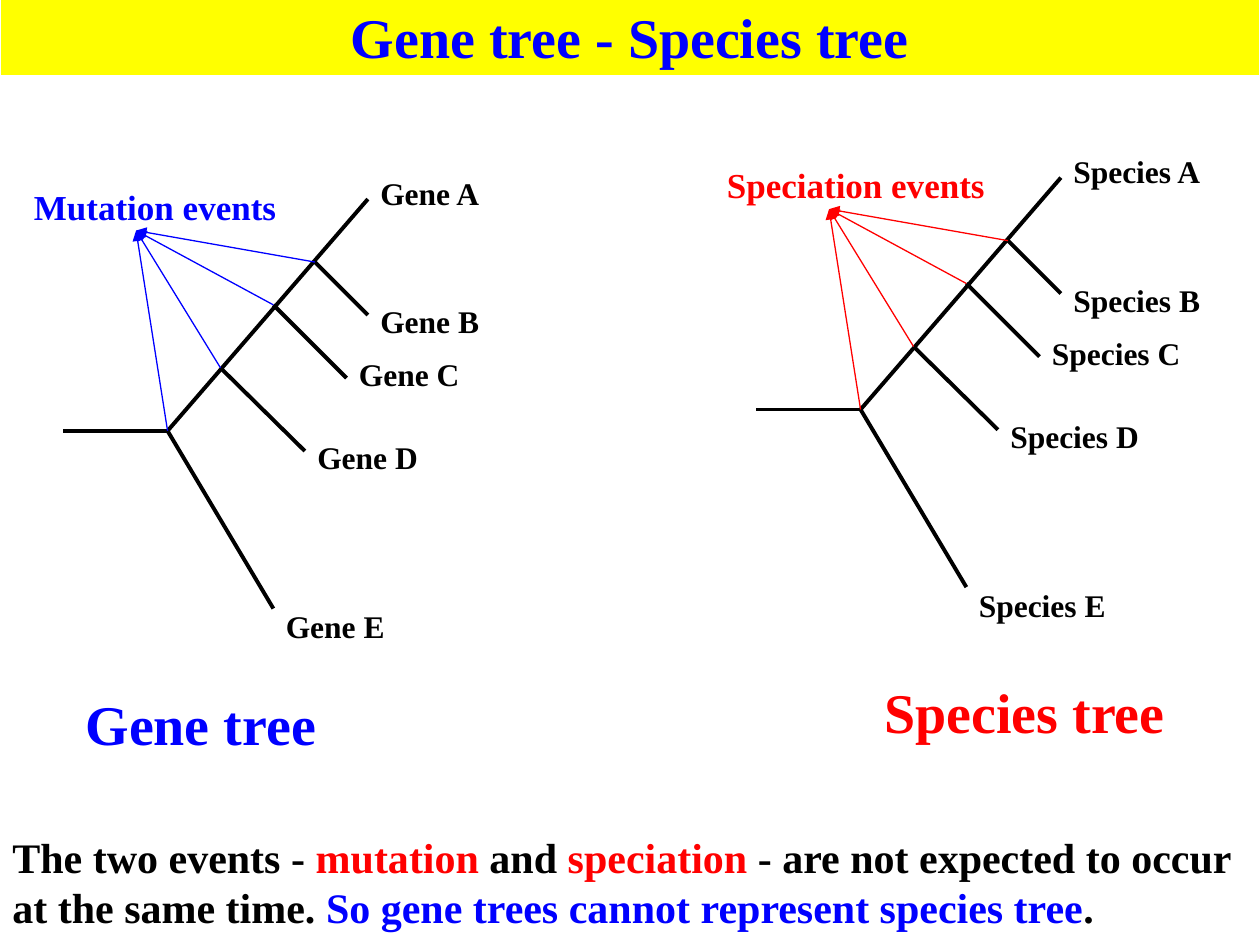
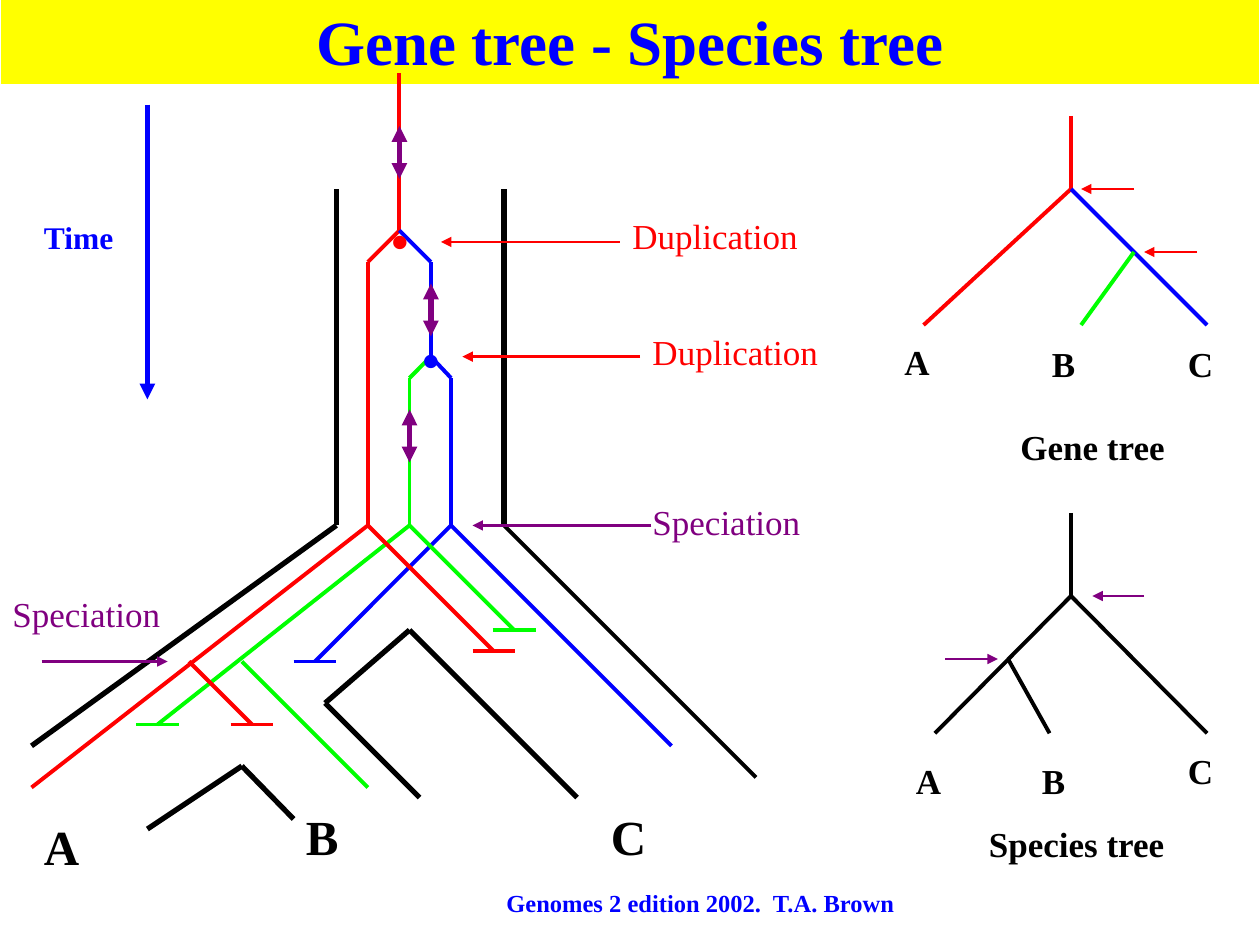
from itertools import pairwise

from lxml.etree import SubElement
from pptx import Presentation
from pptx.dml.color import RGBColor
from pptx.enum.shapes import MSO_CONNECTOR
from pptx.enum.text import MSO_ANCHOR, MSO_AUTO_SIZE, PP_ALIGN
from pptx.oxml.ns import qn
from pptx.util import Inches, Pt

FONT = "Times New Roman"
BLACK, WHITE, YELLOW = "000000", "FFFFFF", "FFFF00"
RED, GREEN, BLUE, PURPLE = "FF0000", "00FF00", "0000FF", "800080"
FRAME_FORMAT = {
    "word_wrap": True,
    "auto_size": MSO_AUTO_SIZE.NONE,
    "vertical_anchor": MSO_ANCHOR.TOP,
    "margin_left": Inches(0.1),
    "margin_right": Inches(0.1),
    "margin_top": Inches(0.05),
    "margin_bottom": Inches(0.05),
}


def write_text(box, place, spans, size, bold=True, align=PP_ALIGN.LEFT, lines=1):
    """Put box at place (left, top, width), tall enough for its lines, and fill in (text, colour) spans."""
    box.left, box.top, box.width = map(Inches, place)
    box.height = Inches(round(lines * size * 1.2 / 72 + 0.1, 2))
    for name, value in FRAME_FORMAT.items():
        setattr(box.text_frame, name, value)
    para = box.text_frame.paragraphs[0]
    para.alignment = align
    para.space_before = Pt(0)
    for text, colour in spans:
        span = para.add_run()
        span.text = text
        for name, value in {"name": FONT, "size": Pt(size), "bold": bold}.items():
            setattr(span.font, name, value)
        span.font.color.rgb = RGBColor.from_string(colour)


def draw_path(page, points, colour, width=2.25, arrows=()):
    """Join the points with straight lines; arrows names the ends that carry a triangle."""
    for start, end in pairwise(points):
        line = page.shapes.add_connector(MSO_CONNECTOR.STRAIGHT, *map(Inches, start + end))
        line.line.color.rgb = RGBColor.from_string(colour)
        line.line.width = Pt(width)
        properties = line.element.spPr
        for arrow in arrows:
            SubElement(properties.find(qn("a:ln")), qn(f"a:{arrow}"), type="triangle")
        SubElement(properties, qn("a:effectLst"))


deck = Presentation()
deck.slide_width, deck.slide_height = Inches(10), Inches(7.5)

# Both slides carry the same yellow title band
pages = []
for title_size in (32, 36):
    page = deck.slides.add_slide(deck.slide_layouts[5])
    title = page.shapes.title
    title.fill.solid()
    title.fill.fore_color.rgb = RGBColor.from_string(YELLOW)
    title.line.color.rgb = RGBColor.from_string(WHITE)
    title.line.width = Pt(0.75)
    write_text(title, (0, -0.03, 10), [("Gene tree - Species tree", BLUE)], title_size, align=PP_ALIGN.CENTER)
    pages.append(page)
comparison, history = pages

# Slide 1: the same tree twice, for genes and for species
root = (1.33, 3.42)
forks = [root, (2.17, 2.42), (2.5, 2.08), (1.75, 2.92)]
branches = [
    [(0.5, 3.42), root],
    [root, (2.92, 1.58)],
    [(2.5, 2.08), (2.92, 2.5)],
    [(2.17, 2.42), (2.75, 3)],
    [(1.75, 2.92), (2.42, 3.58)],
    [root, (2.17, 4.83)],
]
leaves = [("A", 2.92, 1.33), ("B", 2.92, 2.35), ("C", 2.75, 2.77), ("D", 2.42, 3.43), ("E", 2.17, 4.77)]
trees = [
    ("Gene", "Mutation events", BLUE, 0, 0, (0.58, 5.42, 2.08)),
    ("Species", "Speciation events", RED, 5.5, -0.17, (6.92, 5.33, 2.5)),
]
for kind, event, colour, right, down, caption_place in trees:
    for branch in branches:
        draw_path(comparison, [(x + right, y + down) for x, y in branch], BLACK)
    for x, y in forks:
        draw_path(comparison, [(x + right, y + down), (1.08 + right, 1.83 + down)], colour, 0.75, ["tailEnd"])
    labels = [((x + right, y + down, 1.33), f"{kind} {leaf}", BLACK, 18) for leaf, x, y in leaves]
    labels += [
        ((0.17 + right, 1.42 + down, 2.42), event, colour, 20),
        (caption_place, f"{kind} tree", colour, 32),
    ]
    for place, text, text_colour, size in labels:
        write_text(comparison.shapes.add_textbox(0, 0, 0, 0), place, [(text, text_colour)], size)

conclusion = [
    ("The two events - ", BLACK),
    ("mutation", RED),
    (" and ", BLACK),
    ("speciation ", RED),
    ("- are not expected to occur at the same time. ", BLACK),
    ("So gene trees cannot represent species tree", BLUE),
    (".", BLACK),
]
write_text(comparison.shapes.add_textbox(0, 0, 0, 0), (0, 6.55, 10), conclusion, 24, lines=2)

# Slide 2: gene lineages
lineages = [
    (RED, [(3.17, 0.58), (3.17, 1.83), (2.92, 2.08), (2.92, 4.17), (0.25, 6.25)]),
    (BLUE, [(3.17, 1.83), (3.42, 2.08), (3.42, 2.83), (3.58, 3), (3.58, 4.17), (5.33, 5.92)]),
    (GREEN, [(3.42, 2.83), (3.25, 3), (3.25, 4.17)]),
    (GREEN, [(1.92, 5.25), (2.92, 6.25)]),
]
for colour, points in lineages:
    draw_path(history, points, colour)

# Lineages that die out end in a short bar
lost_lineages = [
    (GREEN, (3.25, 4.17), (1.25, 5.75)),
    (RED, (1.5, 5.25), (2, 5.75)),
    (BLUE, (3.58, 4.17), (2.5, 5.25)),
    (RED, (2.92, 4.17), (3.92, 5.17)),
    (GREEN, (3.25, 4.17), (4.08, 5)),
]
for colour, start, (x, y) in lost_lineages:
    draw_path(history, [start, (x, y)], colour)
    draw_path(history, [(x - 0.17, y), (x + 0.17, y)], colour)

# Outline of the species around the lineages
species_outlines = [
    (3, [(4, 1.5), (4, 4.17)]),
    (2.25, [(4, 4.17), (6, 6.17)]),
    (3, [(2.67, 1.5), (2.67, 4.17), (0.25, 5.92)]),
    (3, [(4.58, 6.33), (3.25, 5), (2.58, 5.58), (3.33, 6.33)]),
    (3, [(1.17, 6.58), (1.92, 6.08), (2.33, 6.5)]),
]
for width, points in species_outlines:
    draw_path(history, points, BLACK, width)

# Small trees on the right
small_trees = [
    (RED, [(8.5, 0.92), (8.5, 1.5), (7.33, 2.58)]),
    (BLUE, [(8.5, 1.5), (9.58, 2.58)]),
    (GREEN, [(9, 2), (8.58, 2.58)]),
    (BLACK, [(8.5, 4.07), (8.5, 4.73), (7.42, 5.82)]),
    (BLACK, [(8.5, 4.73), (9.58, 5.82)]),
    (BLACK, [(8, 5.23), (8.33, 5.82)]),
]
for colour, points in small_trees:
    draw_path(history, points, colour)

event_arrows = [
    (RED, 0.75, 9, 8.58, 1.5),
    (RED, 0.75, 9.5, 9.08, 2),
    (PURPLE, 0.75, 9.08, 8.67, 4.73),
    (PURPLE, 0.75, 7.5, 7.92, 5.23),
    (RED, 1.5, 4.92, 3.5, 1.92),
    (RED, 1.5, 5.08, 3.67, 2.83),
    (PURPLE, 1.5, 5.17, 3.75, 4.17),
    (PURPLE, 1.5, 0.33, 1.33, 5.25),
]
for colour, width, start, end, y in event_arrows:
    draw_path(history, [(start, y), (end, y)], colour, width, ["tailEnd"])

draw_path(history, [(1.17, 0.83), (1.17, 3.17)], BLUE, 3, ["tailEnd"])
for x, y in [(3.17, 1), (3.42, 2.25), (3.25, 3.25)]:
    draw_path(history, [(x, y), (x, y + 0.42)], PURPLE, 3, ["headEnd", "tailEnd"])

history_labels = [
    ("Genomes 2 edition 2002.  T.A. Brown", (3.92, 7, 3.75), 14, BLUE, True),
    ("Time", (0.25, 1.68, 0.83), 18, BLUE, True),
    ("•", (3, 1.58, 0.42), 32, RED, False),
    ("•", (3.25, 2.53, 0.42), 32, BLUE, False),
    ("Duplication", (4.92, 1.65, 1.58), 20, RED, False),
    ("Duplication", (5.08, 2.57, 1.58), 20, RED, False),
    ("Speciation", (5.08, 3.92, 1.5), 20, PURPLE, False),
    ("Speciation", (0, 4.65, 1.5), 20, PURPLE, False),
    ("A", (0.25, 6.43, 0.5), 28, BLACK, True),
    ("B", (2.33, 6.35, 0.58), 28, BLACK, True),
    ("C", (4.75, 6.35, 0.67), 28, BLACK, True),
    ("A", (7.08, 2.65, 0.5), 20, BLACK, True),
    ("B", (8.25, 2.67, 0.5), 20, BLACK, True),
    ("C", (9.33, 2.67, 0.5), 20, BLACK, True),
    ("Gene tree", (8, 3.33, 1.42), 20, BLACK, True),
    ("A", (7.17, 5.98, 0.5), 20, BLACK, True),
    ("B", (8.17, 5.98, 0.5), 20, BLACK, True),
    ("C", (9.33, 5.9, 0.5), 20, BLACK, True),
    ("Species tree", (7.75, 6.48, 1.83), 20, BLACK, True),
]
for text, place, size, colour, bold in history_labels:
    write_text(history.shapes.add_textbox(0, 0, 0, 0), place, [(text, colour)], size, bold)

deck.save("out.pptx")
